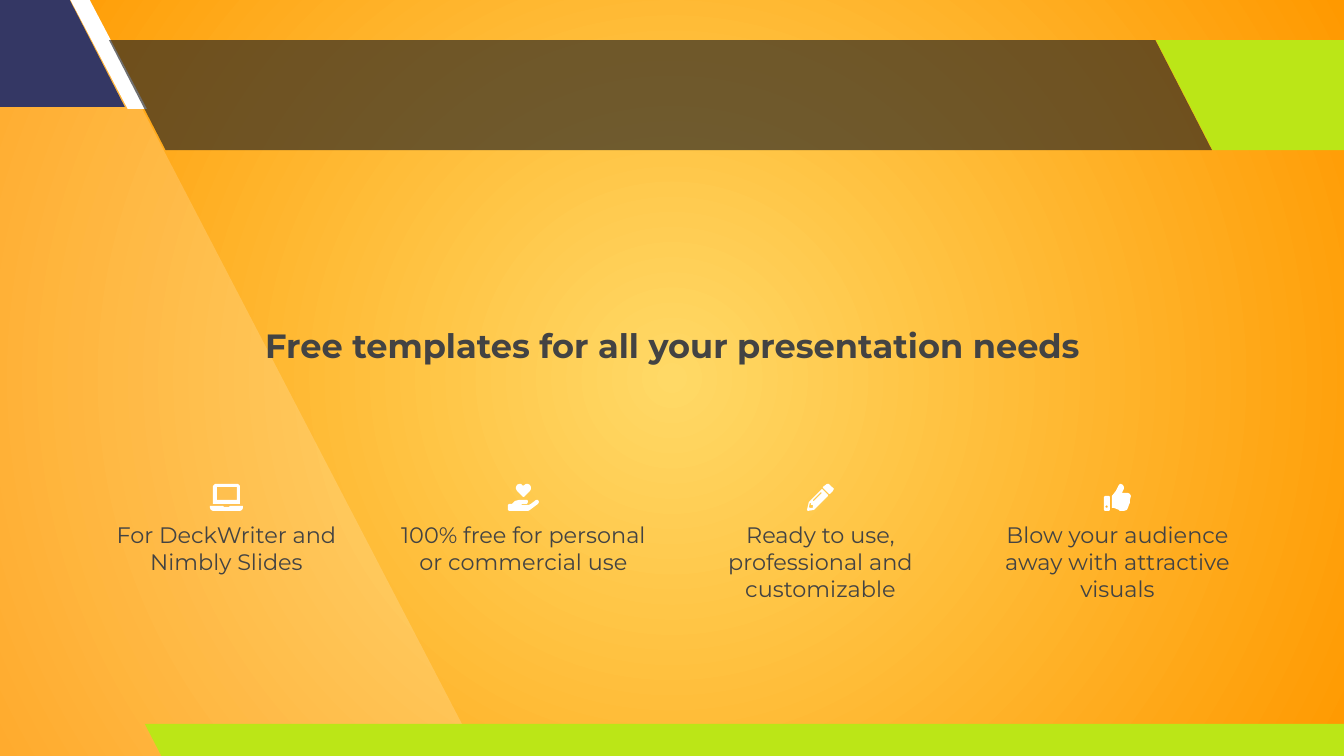
from dataclasses import dataclass

from lxml import etree
from pptx import Presentation
from pptx.dml.color import RGBColor
from pptx.enum.shapes import MSO_SHAPE
from pptx.enum.text import PP_ALIGN
from pptx.oxml.ns import qn
from pptx.util import Emu, Pt

PARALLELOGRAM = MSO_SHAPE.PARALLELOGRAM
CENTER = PP_ALIGN.CENTER

SLIDE_W, SLIDE_H = 1344, 756
EMU_PER_PX = 914400 / 134.4

COLORS = {
    "glow": "FFD966",
    "orange": "FF9900",
    "white": "FFFFFF",
    "navy": "343764",
    "shade": "222222",
    "lime": "BBE617",
    "ink": "434343",
}
HEADLINE_FORMAT = {"name": "Montserrat", "size": Pt(18), "bold": True}
CAPTION_FORMAT = {"name": "Montserrat", "size": Pt(12), "bold": False}

Contour = list[tuple[int, int]]


@dataclass(frozen=True)
class Band:
    left: int
    top: int
    width: int
    height: int
    color: str
    slant: float = 0.515
    opacity: int = 100


@dataclass(frozen=True)
class Benefit:
    caption: str
    icon: list[Contour]


BANDS = [
    Band(-133, -3, 258, 110, "navy"),
    Band(70, -1, 77, 110, "white", slant=0.75),
    Band(109, 40, 1103, 110, "shade", opacity=65),
    Band(1156, 40, 258, 110, "lime"),
    Band(145, 724, 1230, 34, "lime"),
]
SIDE_PANEL = [(478, 755), (83, -5), (-8, -5), (-3, 761)]

# Icon outlines, measured from each icon's top left corner
LAPTOP = [
    [(7, 3), (27, 3), (27, 16), (7, 16)],
    [(5, 0), (28, 0), (30, 2), (30, 20), (3, 20), (3, 2)],
    [(0, 22), (0, 24), (1, 26), (3, 27), (30, 27), (32, 26), (33, 24),
     (33, 22), (20, 22), (19, 23), (14, 23), (13, 22)],
]
HEART_IN_HAND = [
    [(11, 0), (9, 1), (8, 3), (8, 5), (9, 7), (15, 13), (16, 13), (22, 7),
     (23, 5), (23, 3), (22, 1), (20, 0), (18, 0), (15, 2), (13, 0)],
    [(11, 16), (7, 17), (4, 20), (1, 20), (0, 21), (0, 26), (1, 27), (20, 27),
     (22, 26), (30, 20), (31, 18), (30, 16), (28, 16), (23, 20), (21, 21),
     (14, 21), (13, 20), (19, 20), (20, 18), (20, 17), (19, 16)],
]
PENCIL = [
    [(20, 0), (16, 3), (16, 4), (22, 10), (23, 10), (26, 7), (27, 5), (26, 4),
     (22, 0)],
    [(14, 8), (15, 9), (7, 17), (6, 17), (6, 16)],
    [(4, 19), (4, 21), (6, 21), (6, 24), (3, 24), (2, 23), (3, 19)],
    [(15, 5), (2, 18), (0, 26), (1, 27), (7, 26), (21, 12), (21, 11)],
]
THUMB_UP = [
    [(3, 21), (4, 23), (3, 24), (1, 23)],
    [(1, 12), (0, 13), (0, 26), (1, 27), (5, 27), (6, 26), (6, 13), (5, 12)],
    [(16, 0), (15, 1), (13, 5), (12, 7), (8, 12), (8, 24), (10, 24), (15, 26),
     (16, 27), (20, 27), (23, 26), (24, 24), (25, 21), (26, 19), (26, 16),
     (27, 12), (26, 10), (24, 9), (18, 9), (19, 7), (20, 5), (20, 3), (19, 1),
     (17, 0)],
]
BENEFITS = [
    Benefit("For DeckWriter and Nimbly Slides", LAPTOP),
    Benefit("100% free for personal or commercial use", HEART_IN_HAND),
    Benefit("Ready to use, professional and customizable", PENCIL),
    Benefit("Blow your audience away with attractive visuals", THUMB_UP),
]
COLUMN_LEFT, COLUMN_WIDTH, COLUMN_PITCH = 102, 249, 297
ICON_TOP, CAPTION_TOP, CAPTION_HEIGHT = 484, 521, 94


def px(length: int) -> Emu:
    return Emu(round(length * EMU_PER_PX))


def rgb(color: str) -> RGBColor:
    return RGBColor.from_string(COLORS[color])


def paint(shape, color: str, opacity: int = 100) -> None:
    shape.shadow.inherit = False
    shape.line.fill.background()
    shape.fill.solid()
    shape.fill.fore_color.rgb = rgb(color)
    if opacity < 100:
        tint = shape._element.spPr.find(".//" + qn("a:srgbClr"))
        etree.SubElement(tint, qn("a:alpha"), val=str(opacity * 1000))


def draw_background(slide) -> None:
    fill = slide.background.fill
    fill.gradient()
    for stop, color in zip(fill.gradient_stops, ("glow", "orange")):
        stop.color.rgb = rgb(color)
    gradient = slide._element.find(".//" + qn("a:gradFill"))
    gradient.remove(gradient.find(qn("a:lin")))
    circle = etree.Element(qn("a:path"), path="circle")
    etree.SubElement(circle, qn("a:fillToRect"),
                     dict.fromkeys("ltrb", "50000"))
    gradient.find(qn("a:gsLst")).addnext(circle)


def draw_band(slide, band: Band) -> None:
    shape = slide.shapes.add_shape(PARALLELOGRAM, px(band.left), px(band.top),
                                   px(band.width), px(band.height))
    shape.adjustments[0] = band.slant
    shape._element.spPr.xfrm.set("flipH", "1")
    paint(shape, band.color, band.opacity)


def draw_outline(slide, contours: list[Contour], left: int, top: int,
                 opacity: int = 100) -> None:
    first, *others = contours
    builder = slide.shapes.build_freeform(*first[0], scale=EMU_PER_PX)
    builder.add_line_segments(first[1:], close=True)
    for contour in others:
        builder.move_to(*contour[0])
        builder.add_line_segments(contour[1:], close=True)
    paint(builder.convert_to_shape(px(left), px(top)), "white", opacity)


def draw_text(slide, text: str, left: int, top: int, width: int, height: int,
              text_format: dict) -> None:
    frame = slide.shapes.add_textbox(px(left), px(top), px(width),
                                     px(height)).text_frame
    frame.word_wrap = True
    for side in ("left", "top", "right", "bottom"):
        setattr(frame, f"margin_{side}", 0)
    paragraph = frame.paragraphs[0]
    paragraph.alignment = CENTER
    run = paragraph.add_run()
    run.text = text
    for attribute, value in text_format.items():
        setattr(run.font, attribute, value)
    run.font.color.rgb = rgb("ink")


def draw_benefit(slide, benefit: Benefit, left: int) -> None:
    icon_width = max(x for contour in benefit.icon for x, _ in contour)
    draw_outline(slide, benefit.icon,
                 left + (COLUMN_WIDTH - icon_width) // 2, ICON_TOP)
    draw_text(slide, benefit.caption, left, CAPTION_TOP, COLUMN_WIDTH,
              CAPTION_HEIGHT, CAPTION_FORMAT)


def main() -> None:
    deck = Presentation()
    deck.slide_width, deck.slide_height = px(SLIDE_W), px(SLIDE_H)
    slide = deck.slides.add_slide(deck.slide_layouts[6])

    # Backdrop
    draw_background(slide)
    draw_outline(slide, [SIDE_PANEL], 0, 0, opacity=18)
    for band in BANDS:
        draw_band(slide, band)

    # Headline
    draw_text(slide, "Free templates for all your presentation needs",
              163, 325, 1019, 39, HEADLINE_FORMAT)

    # Benefit columns
    for column, benefit in enumerate(BENEFITS):
        draw_benefit(slide, benefit, COLUMN_LEFT + column * COLUMN_PITCH)

    deck.save("out.pptx")


if __name__ == "__main__":
    main()
